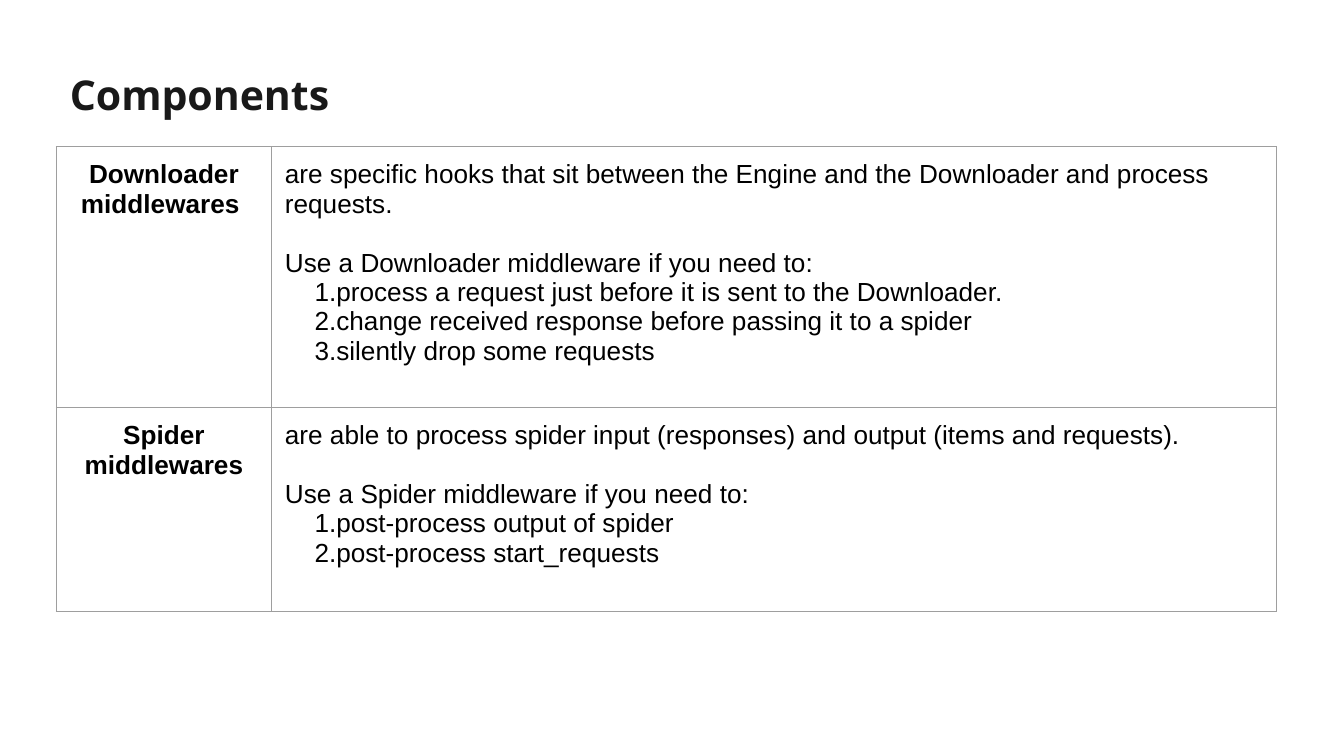
from dataclasses import dataclass

from lxml.etree import SubElement
from pptx import Presentation
from pptx.dml.color import RGBColor
from pptx.enum.text import MSO_ANCHOR as Anchor, PP_ALIGN as Align
from pptx.oxml.ns import qn
from pptx.slide import Slide
from pptx.table import _Cell as Cell
from pptx.text.text import TextFrame, _Paragraph as Paragraph
from pptx.util import Emu, Inches, Pt


@dataclass(frozen=True)
class Theme:
    title_font: str = "Open Sans"
    body_font: str = "Arial"
    title_size: int = 22
    body_size: int = 14
    title_color: str = "191919"
    text_color: str = "000000"
    border_color: str = "9E9E9E"
    border_width: float = 0.75
    inset: float = 0.1
    step_indent: float = 0.22
    section_gap: float = 15.75


@dataclass(frozen=True)
class Component:
    name: str
    summary: str
    usage: str
    steps: tuple[str, ...]
    height: float  # share of the slide's height


THEME = Theme()
WIDTH = Inches(10)
HEIGHT = Emu(WIDTH * 9 // 16)
LEFT = 0.042
TITLE_TOP, TITLE_WIDTH, TITLE_HEIGHT = 0.074, 0.932, 0.112
TABLE_TOP = 0.194
COLUMN_WIDTHS = (0.16, 0.748)

COMPONENTS = (
    Component(
        "Downloader middlewares ",
        "are specific hooks that sit between the Engine and the Downloader and process requests.",
        "Use a Downloader middleware if you need to:",
        (
            "process a request just before it is sent to the Downloader.",
            "change received response before passing it to a spider",
            "silently drop some requests",
        ),
        0.345,
    ),
    Component(
        "Spider middlewares",
        "are able to process spider input (responses) and output (items and requests).",
        "Use a Spider middleware if you need to:",
        ("post-process output of spider", "post-process start_requests"),
        0.27,
    ),
)


def across(share: float) -> Emu:
    return Emu(round(WIDTH * share))


def down(share: float) -> Emu:
    return Emu(round(HEIGHT * share))


def format_runs(paragraph: Paragraph, font: str, size: int, color: str, bold: bool) -> None:
    for run in paragraph.runs:
        run.font.name = font
        run.font.size = Pt(size)
        run.font.bold = bold
        run.font.color.rgb = RGBColor.from_string(color)


def format_body(frame: TextFrame, bold: bool = False) -> None:
    for paragraph in frame.paragraphs:
        format_runs(paragraph, THEME.body_font, THEME.body_size, THEME.text_color, bold)


def set_insets(box: TextFrame | Cell) -> None:
    box.margin_left = box.margin_right = Inches(THEME.inset)
    box.margin_top = box.margin_bottom = Inches(THEME.inset)


def style_cell(cell: Cell) -> None:
    set_insets(cell)
    properties = cell._tc.get_or_add_tcPr()
    for side in ("lnL", "lnR", "lnT", "lnB"):
        line = SubElement(properties, qn(f"a:{side}"), w=str(Pt(THEME.border_width)))
        fill = SubElement(line, qn("a:solidFill"))
        SubElement(fill, qn("a:srgbClr"), val=THEME.border_color)
    cell.fill.background()


def add_title(slide: Slide, text: str) -> None:
    title = slide.shapes.title
    title.left, title.top = across(LEFT), down(TITLE_TOP)
    title.width, title.height = across(TITLE_WIDTH), down(TITLE_HEIGHT)
    frame = title.text_frame
    frame.text = text
    frame.vertical_anchor = Anchor.TOP
    set_insets(frame)
    paragraph = frame.paragraphs[0]
    paragraph.alignment = Align.LEFT
    format_runs(paragraph, THEME.title_font, THEME.title_size, THEME.title_color, True)


def fill_name(cell: Cell, component: Component) -> None:
    cell.text_frame.text = component.name
    cell.text_frame.paragraphs[0].alignment = Align.CENTER
    format_body(cell.text_frame, bold=True)


def fill_description(cell: Cell, component: Component) -> None:
    steps = [f"{number}.{step}" for number, step in enumerate(component.steps, 1)]
    frame = cell.text_frame
    frame.text = "\n".join([component.summary, component.usage, *steps])
    _, usage, *step_paragraphs = frame.paragraphs
    usage.space_before = Pt(THEME.section_gap)
    for paragraph in step_paragraphs:
        paragraph._p.get_or_add_pPr().set("marL", str(Inches(THEME.step_indent)))
    format_body(frame)


def add_component_table(slide: Slide, components: tuple[Component, ...]) -> None:
    table = slide.shapes.add_table(
        len(components), len(COLUMN_WIDTHS),
        across(LEFT), down(TABLE_TOP),
        across(sum(COLUMN_WIDTHS)), down(sum(item.height for item in components)),
    ).table
    table.first_row = table.horz_banding = False
    for column, width in zip(table.columns, COLUMN_WIDTHS):
        column.width = across(width)
    for row, component in zip(table.rows, components):
        row.height = down(component.height)
        name, description = row.cells
        fill_name(name, component)
        fill_description(description, component)
        for cell in (name, description):
            style_cell(cell)


def main() -> None:
    presentation = Presentation()
    presentation.slide_width, presentation.slide_height = WIDTH, HEIGHT
    slide = presentation.slides.add_slide(presentation.slide_layouts.get_by_name("Title Only"))
    add_title(slide, "Components")
    add_component_table(slide, COMPONENTS)
    presentation.save("out.pptx")


if __name__ == "__main__":
    main()
